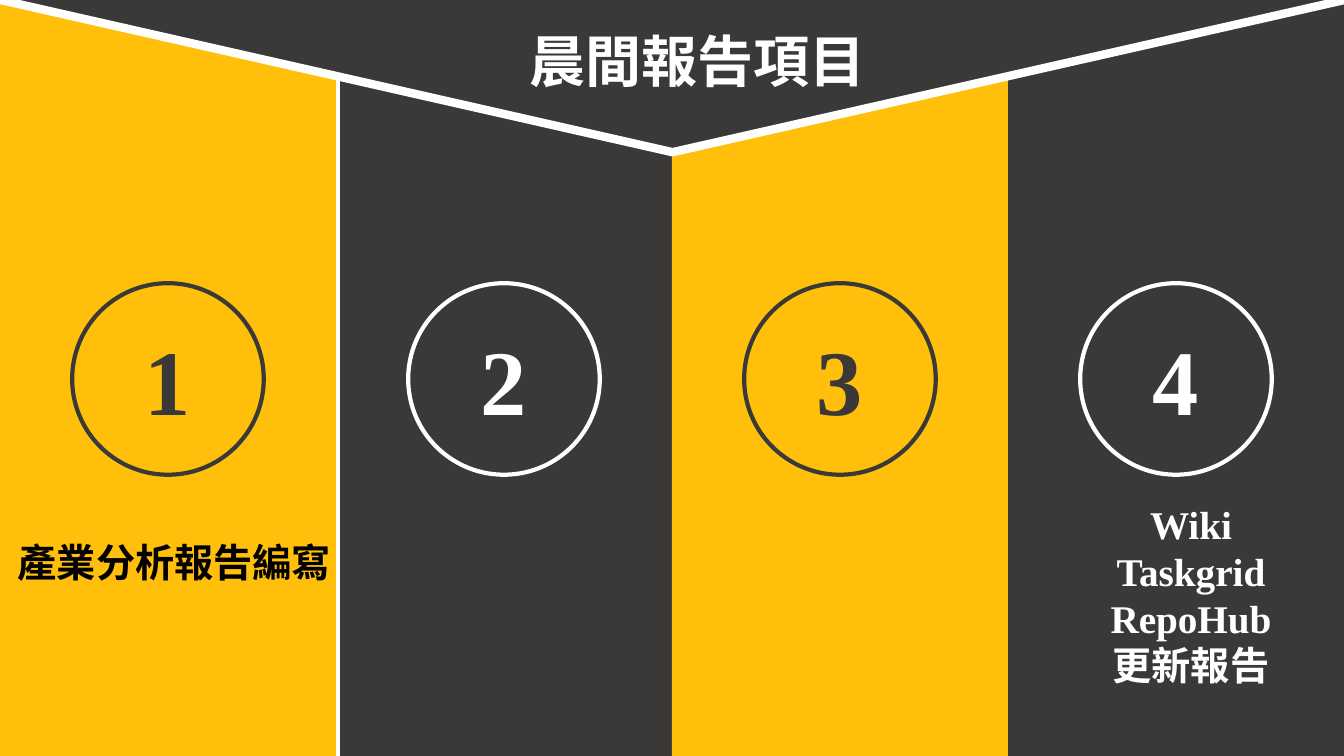
from collections import namedtuple
from dataclasses import dataclass

from lxml import etree
from pptx import Presentation
from pptx.dml.color import RGBColor
from pptx.enum.shapes import MSO_SHAPE
from pptx.enum.text import MSO_ANCHOR, MSO_AUTO_SIZE, PP_ALIGN
from pptx.oxml.ns import qn
from pptx.util import Inches, Pt

RECT, OVAL = MSO_SHAPE.RECTANGLE, MSO_SHAPE.OVAL
WEDGE = MSO_SHAPE.ISOSCELES_TRIANGLE
TOP, MIDDLE = MSO_ANCHOR.TOP, MSO_ANCHOR.MIDDLE
CENTER, FIXED = PP_ALIGN.CENTER, MSO_AUTO_SIZE.NONE
TITLE_AND_TWO = 3

Box = namedtuple("Box", "x y w h")


@dataclass(frozen=True)
class Theme:
    gold: RGBColor = RGBColor(0xFF, 0xBF, 0x0B)
    dark: RGBColor = RGBColor(0x3B, 0x38, 0x38)
    white: RGBColor = RGBColor(0xFF, 0xFF, 0xFF)
    black: RGBColor = RGBColor(0, 0, 0)
    latin: str = "Times New Roman"
    cjk: str = "Noto Sans CJK SC"
    title: int = 40
    number: int = 66
    label: int = 28


THEME = Theme()
WIDE, HIGH = 13.33, 7.5
COLS = 4
GAP = 0.04


def add_form(slide, kind, box, fill=None, line=None, width=0):
    form = slide.shapes.add_shape(kind, *map(Inches, box))
    form.shadow.inherit = False
    if fill is None:
        form.fill.background()
    else:
        form.fill.solid()
        form.fill.fore_color.rgb = fill
    if line is None:
        form.line.fill.background()
    else:
        form.line.color.rgb = line
        form.line.width = Pt(width)
    return form


def write(shape, lines, size, color, anchor=MIDDLE):
    """Write centred bold lines, each a (text, font) pair."""
    frame = shape.text_frame
    frame.word_wrap = True
    frame.auto_size = FIXED
    frame.vertical_anchor = anchor
    for i, (text, face) in enumerate(lines):
        para = frame.add_paragraph() if i else frame.paragraphs[0]
        para.alignment = CENTER
        para.space_before = Pt(0)
        props = para._p.get_or_add_pPr()
        props.set("marL", "0")
        props.set("indent", "0")
        etree.SubElement(props, qn("a:buNone"))
        run = para.add_run()
        run.text = text
        font = run.font
        font.name, font.size, font.bold = face, Pt(size), True
        font.color.rgb = color
        east = etree.SubElement(run._r.get_or_add_rPr(), qn("a:ea"))
        east.set("typeface", face)


def place(slide, holder, box):
    """Move a placeholder to its box, in front of the shapes."""
    holder.left, holder.top, holder.width, holder.height = map(Inches, box)
    slide.shapes._spTree.append(holder._element)


def add_column(slide, box, fill):
    add_form(slide, RECT, box, fill)


def add_badge(slide, box, number, color):
    side = 1.9
    ring = Box(box.x + (box.w - side) / 2, box.y + 2.81, side, side)
    badge = add_form(slide, OVAL, ring, line=color, width=3)
    write(badge, [(str(number), THEME.latin)], THEME.number, color)


def add_header(slide, box):
    # Wedge pointing down, wider than the slide
    wedge = add_form(slide, WEDGE, Box(box.x - 0.7, box.y - 0.16, box.w + 1.41, 1.67),
                     THEME.dark, THEME.white, 6)
    wedge.rotation = 180
    edge = wedge.line._get_or_add_ln()
    etree.SubElement(edge, qn("a:miter")).set("lim", "800000")
    # Title
    title = slide.shapes.title
    place(slide, title, Box(box.x + 5.03, box.y + 0.21, 3.78, 0.77))
    write(title, [("晨間報告項目", THEME.cjk)], THEME.title, THEME.white, TOP)


def add_label(slide, holder, box, lines, color):
    place(slide, holder, box)
    write(holder, lines, THEME.label, color)


def build_slide(deck):
    slide = deck.slides.add_slide(deck.slide_layouts[TITLE_AND_TWO])
    first, last = slide.placeholders[1], slide.placeholders[2]
    step = WIDE / COLS
    cells = [Box(i * step, 0, step, HIGH) for i in range(COLS)]

    # Columns, with a white gap after the first
    for i, cell in enumerate(cells):
        gap = GAP if i == 1 else 0
        add_column(slide, Box(cell.x + gap, cell.y, cell.w - gap, cell.h),
                   THEME.dark if i % 2 else THEME.gold)

    add_header(slide, Box(0, 0, WIDE, HIGH))

    # Numbered circles
    for i, cell in enumerate(cells):
        add_badge(slide, cell, i + 1, THEME.white if i % 2 else THEME.dark)

    # Labels under the first and last circles
    add_label(slide, first, Box(0, 5.18, 3.46, 0.78),
              [("產業分析報告編寫", THEME.cjk)], THEME.black)
    items = [(name, THEME.latin) for name in ("Wiki", "Taskgrid", "RepoHub")]
    add_label(slide, last, Box(cells[-1].x + 0.5, 4.9, 2.63, 2),
              items + [("更新報告", THEME.cjk)], THEME.white)


def main():
    deck = Presentation()
    deck.slide_width, deck.slide_height = Inches(WIDE), Inches(HIGH)
    build_slide(deck)
    deck.save("out.pptx")


if __name__ == "__main__":
    main()
